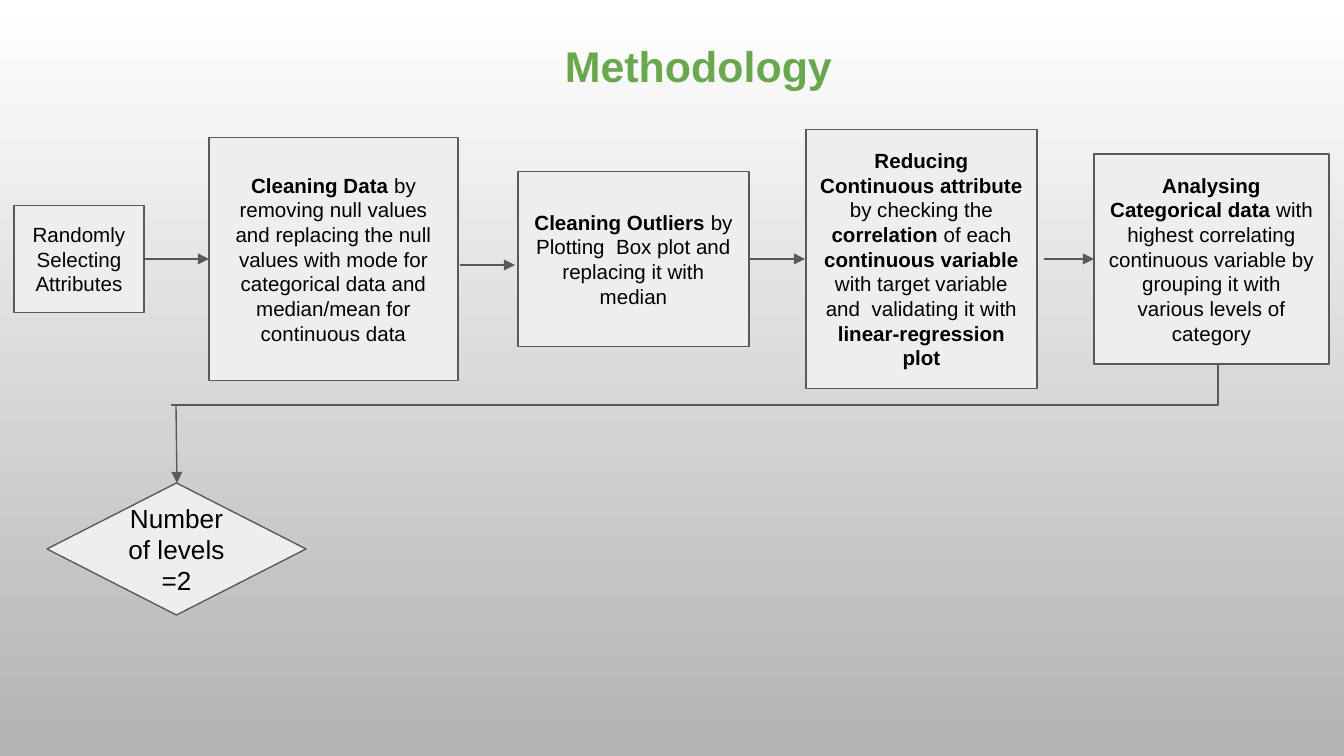
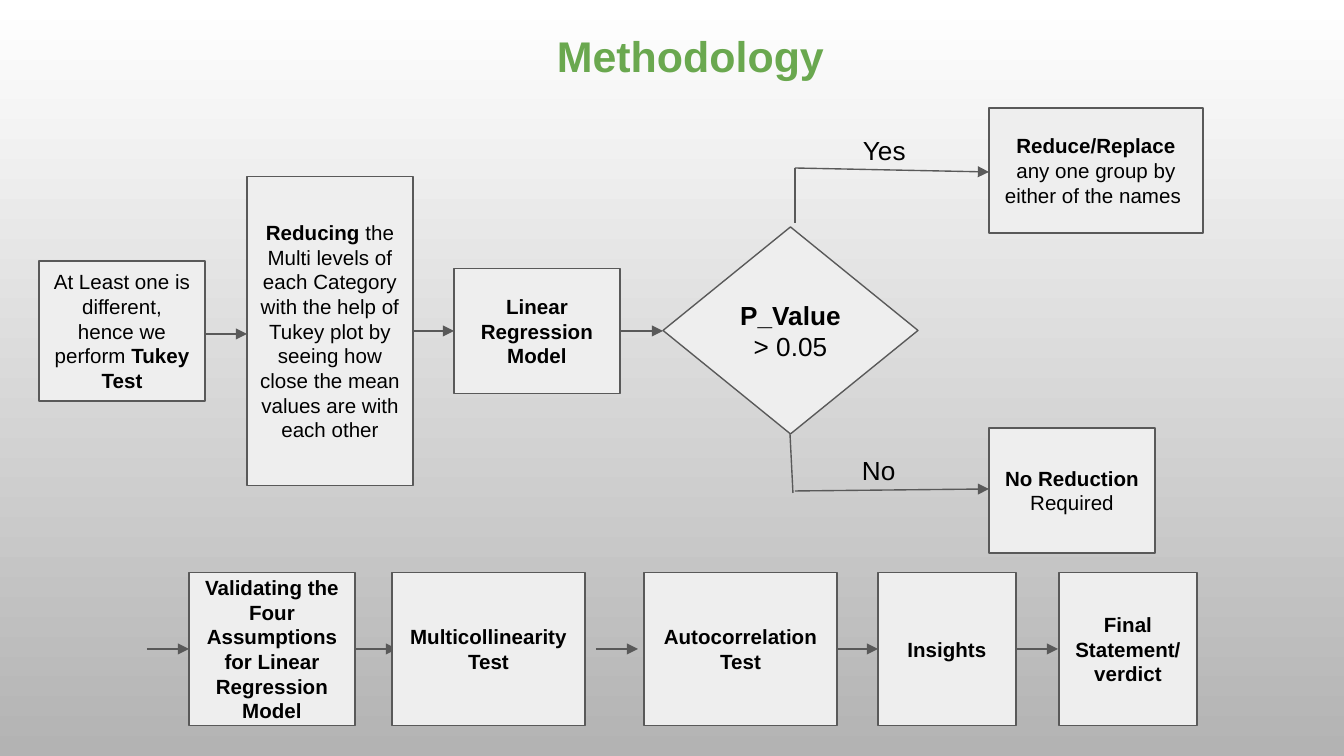
import pptx
import pptx.dml.color
import pptx.enum.shapes
import pptx.enum.text
import pptx.oxml
import pptx.oxml.ns
import pptx.util

SHAPE = pptx.enum.shapes.MSO_SHAPE
CONNECTOR = pptx.enum.shapes.MSO_CONNECTOR
ALIGN = pptx.enum.text.PP_ALIGN
ANCHOR = pptx.enum.text.MSO_ANCHOR
AUTO_SIZE = pptx.enum.text.MSO_AUTO_SIZE

GREEN = pptx.dml.color.RGBColor(0x6A, 0xA8, 0x4F)
BLACK = pptx.dml.color.RGBColor(0x00, 0x00, 0x00)
WHITE = pptx.dml.color.RGBColor(0xFF, 0xFF, 0xFF)
SILVER = pptx.dml.color.RGBColor(0xB3, 0xB3, 0xB3)
PALE = pptx.dml.color.RGBColor(0xEE, 0xEE, 0xEE)
INK = pptx.dml.color.RGBColor(0x59, 0x59, 0x59)

FONT = "Arial"
LINE_WIDTH = pptx.util.Pt(0.75)
STEP_SIZE, LABEL_SIZE, TITLE_SIZE = 11, 14, 23
PX_PER_INCH = 134.4
INSET = 13


def px(n):
    return pptx.util.Emu(round(n * pptx.util.Inches(1) / PX_PER_INCH))


def set_frame(sp, anchor):
    tf = sp.text_frame
    tf.word_wrap = True
    tf.vertical_anchor = anchor
    tf.margin_left = tf.margin_right = px(INSET)
    tf.margin_top = tf.margin_bottom = px(INSET)
    return tf


def write(tf, text, size, align=ALIGN.CENTER):
    p = tf.paragraphs[0]
    p.alignment = align
    p.font.name = FONT
    p.font.size = pptx.util.Pt(size)
    p.font.color.rgb = BLACK
    for i, part in enumerate(text.split("**")):
        for j, line in enumerate(part.split("\n")):
            if j:
                p.add_line_break()
            if line:
                r = p.add_run()
                r.text = line
                r.font.bold = i % 2 == 1
                r.font.size = pptx.util.Pt(size)
                r.font.color.rgb = BLACK


def add_box(slide, x, y, w, h, text, kind=SHAPE.RECTANGLE, size=STEP_SIZE):
    sp = slide.shapes.add_shape(kind, px(x), px(y), px(w), px(h))
    sp.shadow.inherit = False
    sp.fill.solid()
    sp.fill.fore_color.rgb = PALE
    sp.line.color.rgb = INK
    sp.line.width = LINE_WIDTH
    write(set_frame(sp, ANCHOR.MIDDLE), text, size)


def add_decision(slide, x, y, w, h, text):
    add_box(slide, x, y, w, h, text, SHAPE.FLOWCHART_DECISION, LABEL_SIZE)


def add_line(slide, x1, y1, x2, y2, arrow=True, kind=CONNECTOR.STRAIGHT):
    cxn = slide.shapes.add_connector(kind, px(x1), px(y1), px(x2), px(y2))
    cxn.line.color.rgb = INK
    cxn.line.width = LINE_WIDTH
    if arrow:
        ln = cxn.line._get_or_add_ln()
        ln.append(pptx.oxml.parse_xml(
            f'<a:tailEnd {pptx.oxml.ns.nsdecls("a")} type="triangle"/>'))
    cxn._element.spPr.append(pptx.oxml.parse_xml(
        f'<a:effectLst {pptx.oxml.ns.nsdecls("a")}/>'))
    return cxn


def add_label(slide, x, y, text):
    sp = slide.shapes.add_textbox(px(x), px(y), px(85), px(59))
    write(set_frame(sp, ANCHOR.TOP), text, LABEL_SIZE, ALIGN.LEFT)


def add_titled_slide(prs, x, y):
    slide = prs.slides.add_slide(prs.slide_layouts[5])
    sp = slide.shapes.title
    sp.left, sp.top, sp.width, sp.height = px(x), px(y), px(1102), px(79)
    tf = set_frame(sp, ANCHOR.TOP)
    tf.auto_size = AUTO_SIZE.NONE
    p = tf.paragraphs[0]
    p.alignment = ALIGN.CENTER
    p.font.name = FONT
    p.font.bold = True
    for text, size, color in ((" ", LABEL_SIZE, BLACK),
                              ("Methodology", TITLE_SIZE, GREEN)):
        r = p.add_run()
        r.text = text
        r.font.name = FONT
        r.font.bold = True
        r.font.size = pptx.util.Pt(size)
        r.font.color.rgb = color
    return slide


def add_step_row(slide, left, middle, steps, arrows):
    for x1, x2, dy in arrows:
        add_line(slide, left + x1, middle + dy, left + x2, middle + dy)
    for x, w, h, text in steps:
        add_box(slide, left + x, middle - h / 2, w, h, text)


def add_level_check(slide, x, y):
    bent = add_line(slide, x + 1168, y - 119, x + 124, y - 78, False,
                    CONNECTOR.ELBOW)
    geom = bent._element.spPr.find(pptx.oxml.ns.qn("a:prstGeom"))
    guides = geom.find(pptx.oxml.ns.qn("a:avLst"))
    guides.append(pptx.oxml.parse_xml(
        f'<a:gd {pptx.oxml.ns.nsdecls("a")} name="adj1" fmla="val -300"/>'))
    add_line(slide, x + 129, y - 78, x + 130, y)
    add_decision(slide, x, y, 259, 132, "Number of levels =2")


def add_p_value_branch(slide, x, y):
    add_decision(slide, x, y, 255, 207, "**P_Value**\n> 0.05")
    add_line(slide, x + 132, y - 4, x + 132, y - 59, False)
    add_line(slide, x + 132, y - 59, x + 326, y - 55)
    add_line(slide, x + 127, y + 207, x + 130, y + 266, False)
    add_line(slide, x + 132, y + 264, x + 326, y + 262)
    add_box(slide, x + 326, y - 119, 214, 125,
            "**Reduce/Replace **any one group by either of the names ")
    add_box(slide, x + 326, y + 201, 166, 125, "**No Reduction **Required")
    add_label(slide, x + 187, y - 106, "Yes")
    add_label(slide, x + 186, y + 214, "No")


def build_cleaning_slide(prs):
    slide = add_titled_slide(prs, 144, 27)
    steps = (
        (0, 130, 107, "Randomly Selecting Attributes"),
        (195, 249, 243, "**Cleaning Data** by removing null values and "
         "replacing the null values with mode for categorical data and "
         "median/mean for continuous data"),
        (504, 231, 175, "**Cleaning Outliers **by Plotting  Box plot and "
         "replacing it with median"),
        (792, 231, 259, "**Reducing Continuous attribute **by checking the "
         "**correlation** of each **continuous variable **with target "
         "variable and  validating it with **linear-regression plot**"),
        (1080, 235, 210, "**Analysing Categorical data **with highest "
         "correlating continuous variable by grouping it with various "
         "levels of category"),
    )
    arrows = ((130, 195, 0), (446, 501, 6), (735, 791, 0), (1030, 1080, 0))
    add_step_row(slide, 14, 259, steps, arrows)
    add_level_check(slide, 47, 483)


def build_testing_slide(prs):
    slide = add_titled_slide(prs, 136, 17)
    steps = (
        (0, 166, 140, "At Least one is different, hence we perform "
         "**Tukey Test**"),
        (208, 166, 309, "**Reducing **the Multi levels of each Category with "
         "the help of Tukey plot by seeing how close the mean values are "
         "with each other"),
        (415, 166, 125, "**Linear Regression Model**"),
    )
    arrows = ((166, 208, 3), (374, 415, 0), (582, 624, 0))
    add_step_row(slide, 39, 331, steps, arrows)
    add_p_value_branch(slide, 663, 227)
    checks = (
        (42, 166, 153, "**Validating the Four Assumptions for Linear "
         "Regression Model**"),
        (245, 193, 153, "**Multicollinearity Test**"),
        (497, 193, 153, "**Autocorrelation Test**"),
        (731, 138, 153, "**Insights**"),
        (912, 138, 153, "**Final Statement/verdict**"),
    )
    arrows = [(x, x + 42, 0) for x in (0, 208, 449, 689, 869)]
    add_step_row(slide, 147, 649, checks, arrows)


def set_backdrop(prs):
    fill = prs.slide_master.background.fill
    fill.gradient()
    fill.gradient_angle = 270
    for stop, color in zip(fill.gradient_stops, (WHITE, SILVER)):
        stop.color.rgb = color


def main():
    prs = pptx.Presentation()
    prs.slide_width, prs.slide_height = px(1344), px(756)
    set_backdrop(prs)
    build_cleaning_slide(prs)
    build_testing_slide(prs)
    prs.save("out.pptx")


if __name__ == "__main__":
    main()
